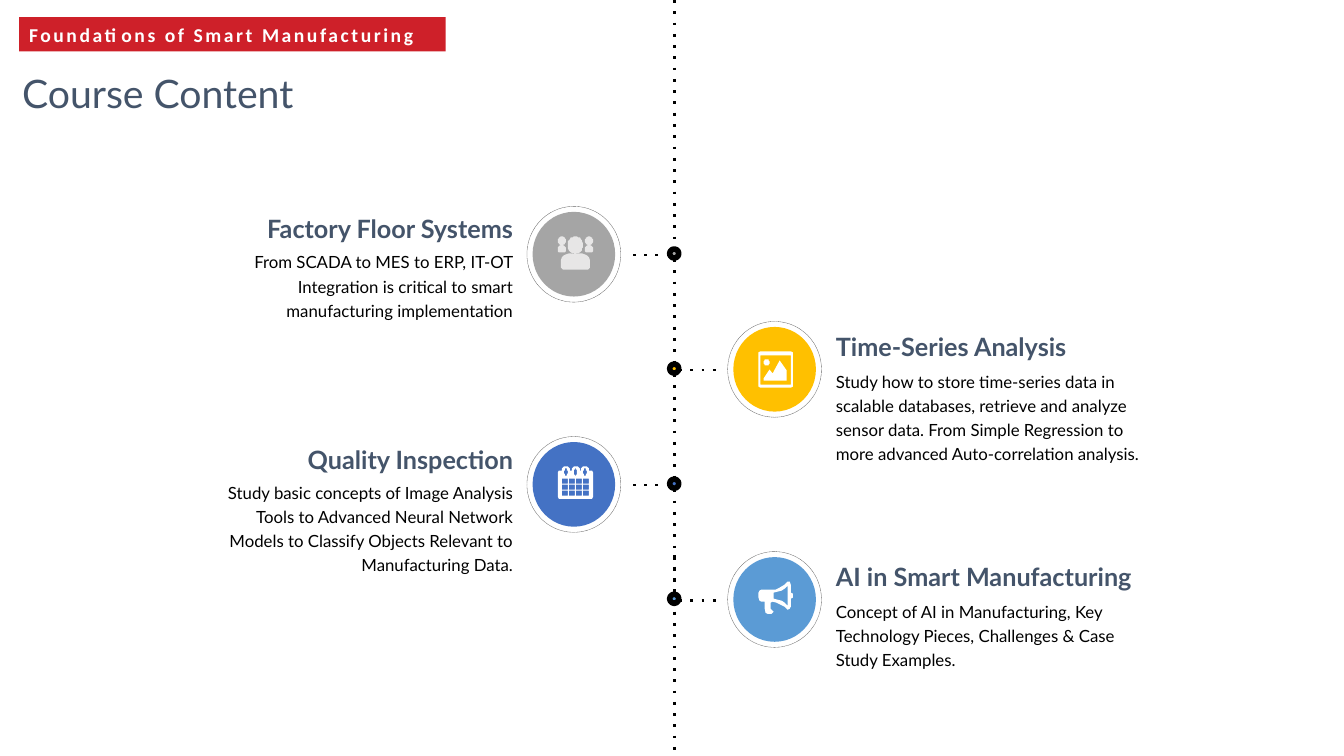
import math
import pptx
import pptx.util
import pptx.dml.color
import pptx.enum.shapes
import pptx.enum.text
import pptx.oxml.ns
from lxml import etree

Pt = pptx.util.Pt
qn = pptx.oxml.ns.qn
KIND = pptx.enum.shapes.MSO_SHAPE
ALIGN = pptx.enum.text.PP_ALIGN

HUES = {
    "red": "CE2029", "slate": "44546A", "black": "000000", "white": "FFFFFF",
    "ring": "666666", "pale": "E7E6E6", "gray": "A5A5A5", "gold": "FFC000",
    "blue": "4472C4", "sky": "5B9BD5",
}
SPINE = 481.6
FIRST = 181.1
STEP = 82.2
REACH = 71.7


def oval(x, y, rx, ry):
    turns = [math.tau * i / 32 for i in range(32)]
    return [(x + rx * math.cos(t), y + ry * math.sin(t)) for t in turns]


def box(x, y, w, h):
    return [(x, y), (x + w, y), (x + w, y + h), (x, y + h)]


def crowd():
    parts = [
        oval(17.4, 8.8, 7.5, 8.8),
        [(3, 31), (3, 24), (4, 21), (6, 19), (8, 18), (11, 17), (13, 17),
         (17.4, 18.4), (22, 17), (24, 17), (27, 18), (29, 19), (31, 21),
         (32, 24), (32, 31), (31, 32.5), (30, 33), (5, 33), (4, 32.5)],
    ]
    for x in (0, 27):
        parts.append(oval(x + 4, 4.5, 3.9, 4.5))
        torso = [(0, 11), (1, 9.5), (2, 9), (6, 9), (7, 9.5), (8, 11),
                 (8, 15), (7, 16), (1, 16), (0, 15)]
        parts.append([(x + a, b) for a, b in torso])
    return parts


def photo():
    rim = [(2, 0), (32, 0), (34, 1), (34.5, 3), (34.5, 33), (34, 35),
           (32, 36), (2, 36), (0.5, 35), (0, 33), (0, 3), (0.5, 1)]
    hill = [(5, 29), (5, 27), (11, 18), (14, 22), (21, 9), (28, 19), (28, 29)]
    return [rim, box(2.5, 4, 29, 29), oval(8, 11, 3, 3.5), hill]


def dates():
    tabs = (4, 13.5, 23)
    rim = [(0, 30), (0, 6), (1, 4.5), (3, 4)]
    for x in tabs:
        rim += [(x, 4), (x, 2.5), (x + 2, 0.5), (x + 4, 0), (x + 6, 0.5),
                (x + 8, 2.5), (x + 8, 4)]
    rim += [(32, 4), (34, 4.5), (35, 6), (35, 30), (34, 31.5), (32, 32),
            (3, 32), (1, 31.5)]
    slots = [oval(x + 4, 5.5, 1.7, 3.5) for x in tabs]
    cells = [box(4 + 7 * c, 12 + 6 * r, 6, 5) for r in range(3) for c in range(4)]
    return [rim] + slots + cells


def horn():
    rim = [(34, 14), (33.5, 16), (32, 17), (32, 25), (31, 27), (29, 28),
           (26, 25), (22, 23), (18, 21), (14, 20), (12, 21), (12, 24),
           (12, 27), (15, 30), (13, 32), (9, 32), (7, 31), (6, 26),
           (6, 20), (3, 20), (1, 19), (0, 16), (0, 11), (1, 9), (3, 8),
           (12, 8), (17, 8), (21, 6), (26, 3), (29, 0), (31, 0.5),
           (32, 3), (32, 11), (33.5, 12)]
    hole = [(29, 4), (26, 7), (23, 9), (19, 10.5), (15, 11), (15, 17),
            (19, 18), (23, 19), (26, 21), (29, 24)]
    return [rim, hole]


class Board:
    font = "Lato"

    def __init__(self, deck):
        self.slide = deck.slides.add_slide(deck.slide_layouts[5])
        self.shapes = self.slide.shapes

    def hue(self, name):
        return pptx.dml.color.RGBColor.from_string(HUES[name])

    def dash(self, item, kind):
        edge = item.element.spPr.find(qn("a:ln"))
        etree.SubElement(edge, qn("a:prstDash")).set("val", kind)

    def paint(self, shape, fill=None, line=None, width=1):
        shape.shadow.inherit = False
        if fill:
            shape.fill.solid()
            shape.fill.fore_color.rgb = self.hue(fill)
        else:
            shape.fill.background()
        if line:
            shape.line.color.rgb = self.hue(line)
            shape.line.width = Pt(width)
        else:
            shape.line.fill.background()
        return shape

    def shape(self, kind, x, y, w, h, **look):
        item = self.shapes.add_shape(kind, Pt(x), Pt(y), Pt(w), Pt(h))
        return self.paint(item, **look)

    def disc(self, x, y, w, h, **look):
        return self.shape(KIND.OVAL, x - w / 2, y - h / 2, w, h, **look)

    def icon(self, parts, x, y, fill):
        pen = self.shapes.build_freeform(*parts[0][0], scale=Pt(0.72))
        for part in parts:
            pen.move_to(*part[0])
            pen.add_line_segments(part[1:], close=True)
        return self.paint(pen.convert_to_shape(Pt(x), Pt(y)), fill=fill)

    def line(self, x1, y1, x2, y2):
        item = self.shapes.add_connector(
            pptx.enum.shapes.MSO_CONNECTOR.STRAIGHT, Pt(x1), Pt(y1), Pt(x2), Pt(y2))
        item.line.color.rgb = self.hue("black")
        item.line.width = Pt(2)
        self.dash(item, "dot")
        etree.SubElement(item.element.spPr, qn("a:effectLst"))

    def label(self, item, words, size, hue, bold=False, align=ALIGN.LEFT,
              lead=None, font=None):
        frame = item.text_frame
        frame.word_wrap = True
        frame.text = words
        para = frame.paragraphs[0]
        para.alignment = align
        if lead:
            para.line_spacing = lead
        face = para.runs[0].font
        face.name, face.size, face.bold = font or self.font, Pt(size), bold
        face.color.rgb = self.hue(hue)

    def text(self, x, y, w, h, words, size, hue, **style):
        item = self.shapes.add_textbox(Pt(x), Pt(y), Pt(w), Pt(h))
        self.label(item, words, size, hue, **style)

    def title(self, x, y, w, h, words):
        item = self.shapes.title
        item.left, item.top, item.width, item.height = Pt(x), Pt(y), Pt(w), Pt(h)
        frame = item.text_frame
        frame.margin_left = frame.margin_right = Pt(0)
        frame.margin_top = frame.margin_bottom = Pt(0)
        frame.vertical_anchor = pptx.enum.text.MSO_ANCHOR.TOP
        self.label(item, words, 28, "slate", lead=0.9)

    def topic(self, y, left, hue, parts, tint, head, wide, note, span, tall):
        side = -1 if left else 1
        x = SPINE + side * REACH
        self.disc(x, y + 0.5, 59, 60.5, fill=hue)
        ring = self.disc(x, y + 0.5, 67, 68.4, line="ring", width=0.25)
        self.dash(ring, "sysDash")
        self.icon(parts, x - 11.5, y - 12.3, tint)
        self.line(SPINE + side * 3.4, y + 1, SPINE + side * 34.4, y + 1)
        self.disc(SPINE, y, 6.5, 6.5, fill=hue, line="black", width=4)
        align = ALIGN.RIGHT if left else ALIGN.LEFT
        rise, drop = (32, 7.4) if left else (30, 4.2)
        for gap, w, h, words, size, ink, bold, lead in (
                (rise, wide, 29, head, 18, "slate", True, None),
                (drop, span, tall, note, 12, "black", False, 1.2)):
            edge = 373.6 - w if left else 590
            self.text(edge, y - gap, w, h, words, size, ink,
                      bold=bold, align=align, lead=lead)


TOPICS = [
    (True, "gray", crowd(), "pale", "Factory Floor Systems", 210,
     "From SCADA to MES to ERP, IT-OT Integration is critical to smart "
     "manufacturing implementation", 232, 60),
    (False, "gold", photo(), "white", "Time-Series Analysis", 197,
     "Study how to store time-series data in scalable databases, retrieve and "
     "analyze sensor data. From Simple Regression to more advanced "
     "Auto-correlation analysis.", 240.5, 77),
    (True, "blue", dates(), "white", "Quality Inspection", 172,
     "Study basic concepts of Image Analysis Tools to Advanced Neural Network "
     "Models to Classify Objects Relevant to Manufacturing Data.", 238.3, 77),
    (False, "sky", horn(), "white", "AI in Smart Manufacturing", 240.5,
     "Concept of AI in Manufacturing, Key Technology Pieces, Challenges & Case "
     "Study Examples.", 218, 60),
]


def main():
    deck = pptx.Presentation()
    deck.slide_width, deck.slide_height = Pt(960), Pt(540)
    board = Board(deck)
    board.title(15.8, 53.3, 533, 35.3, "Course Content")
    banner = board.shape(KIND.RECTANGLE, 13.7, 12.2, 304.6, 24.5, fill="red")
    board.label(banner, "Foundations of Smart Manufacturing", 14,
                "white", bold=True, font="Calibri")
    next(banner.element.iter(qn("a:rPr"))).set("spc", "180")
    start = 0
    for i, topic in enumerate(TOPICS):
        y = FIRST + STEP * i
        board.line(SPINE, start, SPINE, y - 3.8)
        board.topic(y, *topic)
        start = y + 4
    board.line(SPINE, 396.7, SPINE, 540)
    deck.save("out.pptx")


if __name__ == "__main__":
    main()
